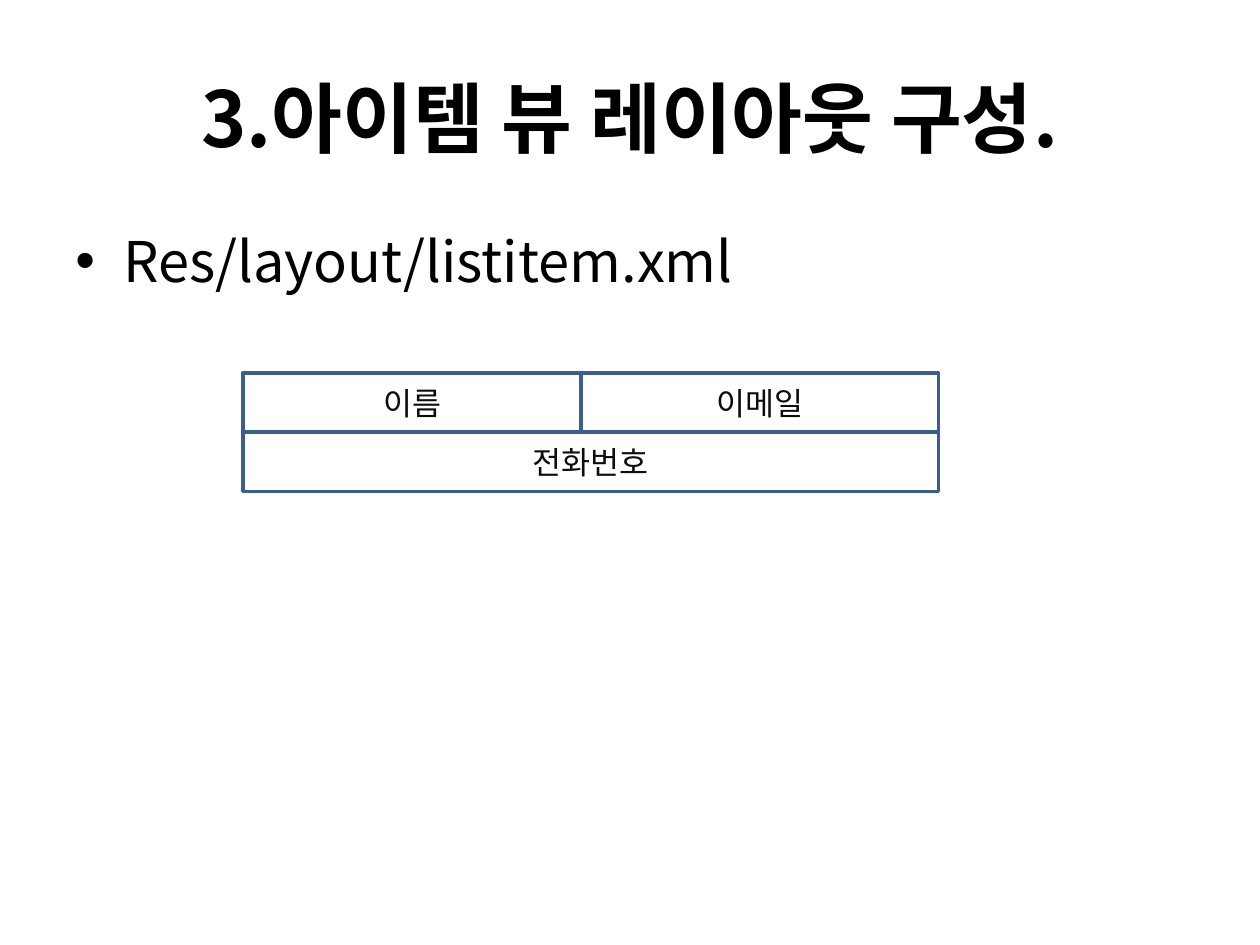
from lxml import etree
from pptx import Presentation
from pptx import util as u
from pptx.dml.color import RGBColor
from pptx.enum import shapes, text
from pptx.oxml import ns

BLACK = RGBColor(0x00, 0x00, 0x00)
NEAR_BLACK = RGBColor(0x0D, 0x0D, 0x0D)
BLUE = RGBColor(0x3A, 0x5F, 0x8C)


class SlideBuilder:
    font = "Noto Sans CJK KR"
    title_format = {"size": u.Pt(44), "bold": True}
    bullet_format = {"size": u.Pt(32)}
    cell_format = {"size": u.Pt(18)}

    def __init__(self, page):
        self.page = page

    def add_words(self, box, words, values, color, align):
        frame = box.text_frame
        frame.word_wrap = True
        para = frame.paragraphs[0]
        para.alignment = align
        span = para.add_run()
        span.text = words
        span.font.color.rgb = color
        for name, value in {"name": self.font, **values}.items():
            setattr(span.font, name, value)
        # Korean letters take the East Asian typeface
        east_asian = etree.SubElement(span.font._element, ns.qn("a:ea"))
        east_asian.set("typeface", self.font)
        return para

    def title(self, words, left, top, width, height):
        box = self.page.shapes.title
        place = {"left": left, "top": top, "width": width, "height": height}
        for name, value in place.items():
            setattr(box, name, u.Inches(value))
        box.text_frame.vertical_anchor = text.MSO_ANCHOR.MIDDLE
        self.add_words(box, words, self.title_format, BLACK, text.PP_ALIGN.CENTER)

    def bullet(self, words, *place):
        box = self.page.shapes.add_textbox(*map(u.Inches, place))
        para = self.add_words(box, words, self.bullet_format, BLACK,
                              text.PP_ALIGN.LEFT)
        para.space_before = u.Pt(6.4)
        settings = para._p.get_or_add_pPr()
        indent = u.Inches(0.38)
        settings.set("marL", str(indent))
        settings.set("indent", str(-indent))
        mark_font = etree.SubElement(settings, ns.qn("a:buFont"))
        mark_font.set("typeface", "Arial")
        etree.SubElement(settings, ns.qn("a:buChar")).set("char", "•")

    def cell(self, group, words, *place):
        box = group.shapes.add_shape(
            shapes.MSO_SHAPE.RECTANGLE, *map(u.Inches, place))
        box.shadow.inherit = False
        box.fill.background()
        box.line.color.rgb = BLUE
        box.line.width = u.Pt(2)
        box.text_frame.vertical_anchor = text.MSO_ANCHOR.MIDDLE
        self.add_words(box, words, self.cell_format, NEAR_BLACK,
                       text.PP_ALIGN.CENTER)

    def layout_sketch(self, left, top, row_height, rows):
        group = self.page.shapes.add_group_shape()
        for index, row in enumerate(rows):
            x = left
            for words, width in row:
                self.cell(group, words, x, top + index * row_height,
                          width, row_height)
                x += width


def main():
    deck = Presentation()
    deck.slide_width, deck.slide_height = u.Inches(10), u.Inches(7.5)
    title_only = deck.slide_layouts[5]
    builder = SlideBuilder(deck.slides.add_slide(title_only))

    # Heading and file name
    builder.title("3.아이템 뷰 레이아웃 구성.", 0.5, 0.3, 9, 1.25)
    builder.bullet("Res/layout/listitem.xml", 0.5, 1.75, 9, 4.95)

    # List item: name and e-mail above the phone number
    name_width, email_width = 2.68, 2.84
    builder.layout_sketch(1.93, 2.96, 0.47, [
        [("이름", name_width), ("이메일", email_width)],
        [("전화번호", name_width + email_width)],
    ])

    deck.save("out.pptx")


if __name__ == "__main__":
    main()
